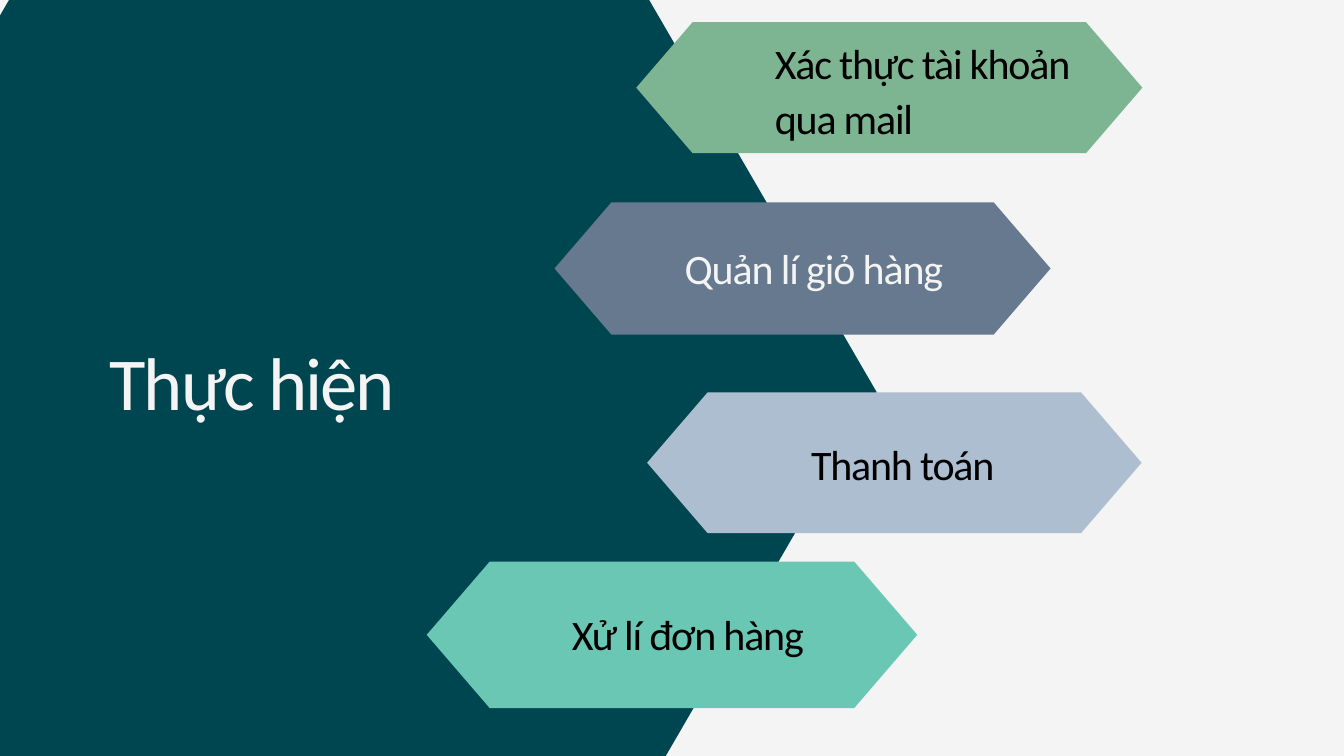
from pptx import Presentation
from pptx.dml.color import RGBColor
from pptx.util import Cm, Pt

LIGHT, BLACK, TEAL = "F4F4F4", "000000", "004651"
FONT = "Calibri"

# Boxes are left, top, width, height in cm
PANEL_BOX = (-8.26, -0.84, 41.4, 31.34)
PANEL_POINT, STEP_POINT = 0.29, 0.43  # point length as a share of the height

TITLE = ("Thực hiện", (4.14, 12.4, 13.08, 3.58))
STEPS = [
    # text, hexagon box, fill, text box, text format
    ("Quản lí giỏ hàng", (20.96, 7.65, 18.75, 5), "66798F",
     (25.88, 9.02, 12.57, 1.98),
     dict(size=44.9, color=LIGHT, line=58.3, tracking=-1.2)),
    ("Xử lí đơn hàng", (16.13, 21.23, 18.54, 5.54), "69C7B4",
     (21.62, 22.86, 11.51, 2.01), {}),
    ("Thanh toán", (24.46, 14.83, 18.69, 5.33), "ADBED1",
     (30.66, 16.43, 11.23, 2.01), {}),
    ("Xác thực tài khoản qua mail", (24.05, 0.84, 19.13, 4.95), "7DB492",
     (29.29, 1.27, 11.51, 4.06), {}),
]


def rgb(value):
    return RGBColor.from_string(value)


def add_hexagon(slide, box, fill, point):
    left, top, width, height = box
    right, bottom, middle = left + width, top + height, top + height / 2
    inset = point * height
    corners = [(left, middle), (left + inset, top), (right - inset, top),
               (right, middle), (right - inset, bottom), (left + inset, bottom)]
    start, *others = [(Cm(x), Cm(y)) for x, y in corners]
    builder = slide.shapes.build_freeform(*start)
    builder.add_line_segments(others, close=True)
    hexagon = builder.convert_to_shape()
    hexagon.shadow.inherit = False
    hexagon.fill.solid()
    hexagon.fill.fore_color.rgb = rgb(fill)
    hexagon.line.fill.background()


def add_text(slide, text, box, size=45, color=BLACK, line=58.5, tracking=-1.3):
    """Add a text box; line is the line spacing and tracking the letter spacing, in points."""
    frame = slide.shapes.add_textbox(*map(Cm, box)).text_frame
    frame.word_wrap = True
    frame.margin_left = frame.margin_top = frame.margin_right = frame.margin_bottom = 0
    paragraph = frame.paragraphs[0]
    paragraph.line_spacing = Pt(line)
    run = paragraph.add_run()
    run.text = text
    run.font.name = FONT
    run.font.size = Pt(size)
    run.font.color.rgb = rgb(color)
    run.font._element.set("spc", str(round(tracking * 100)))


def main():
    deck = Presentation()
    deck.slide_width, deck.slide_height = Cm(50.8), Cm(28.58)
    slide = deck.slides.add_slide(deck.slide_layouts[6])
    slide.background.fill.solid()
    slide.background.fill.fore_color.rgb = rgb(LIGHT)

    add_hexagon(slide, PANEL_BOX, TEAL, PANEL_POINT)
    for _, hexagon_box, fill, _, _ in STEPS:
        add_hexagon(slide, hexagon_box, fill, STEP_POINT)

    add_text(slide, *TITLE, size=80, color=LIGHT, line=104, tracking=-2.2)
    for label, _, _, label_box, label_format in STEPS:
        add_text(slide, label, label_box, **label_format)

    deck.save("out.pptx")


if __name__ == "__main__":
    main()
